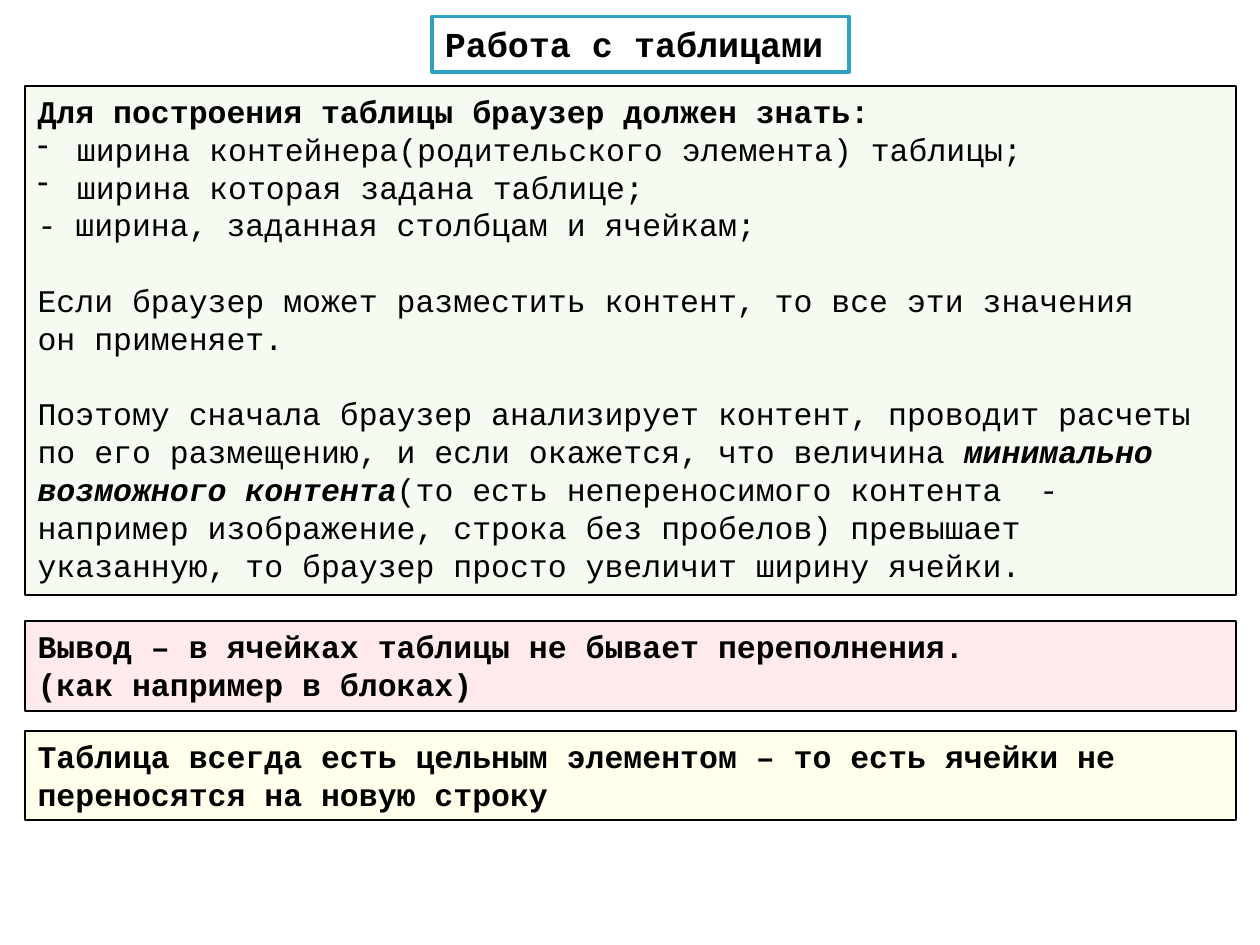
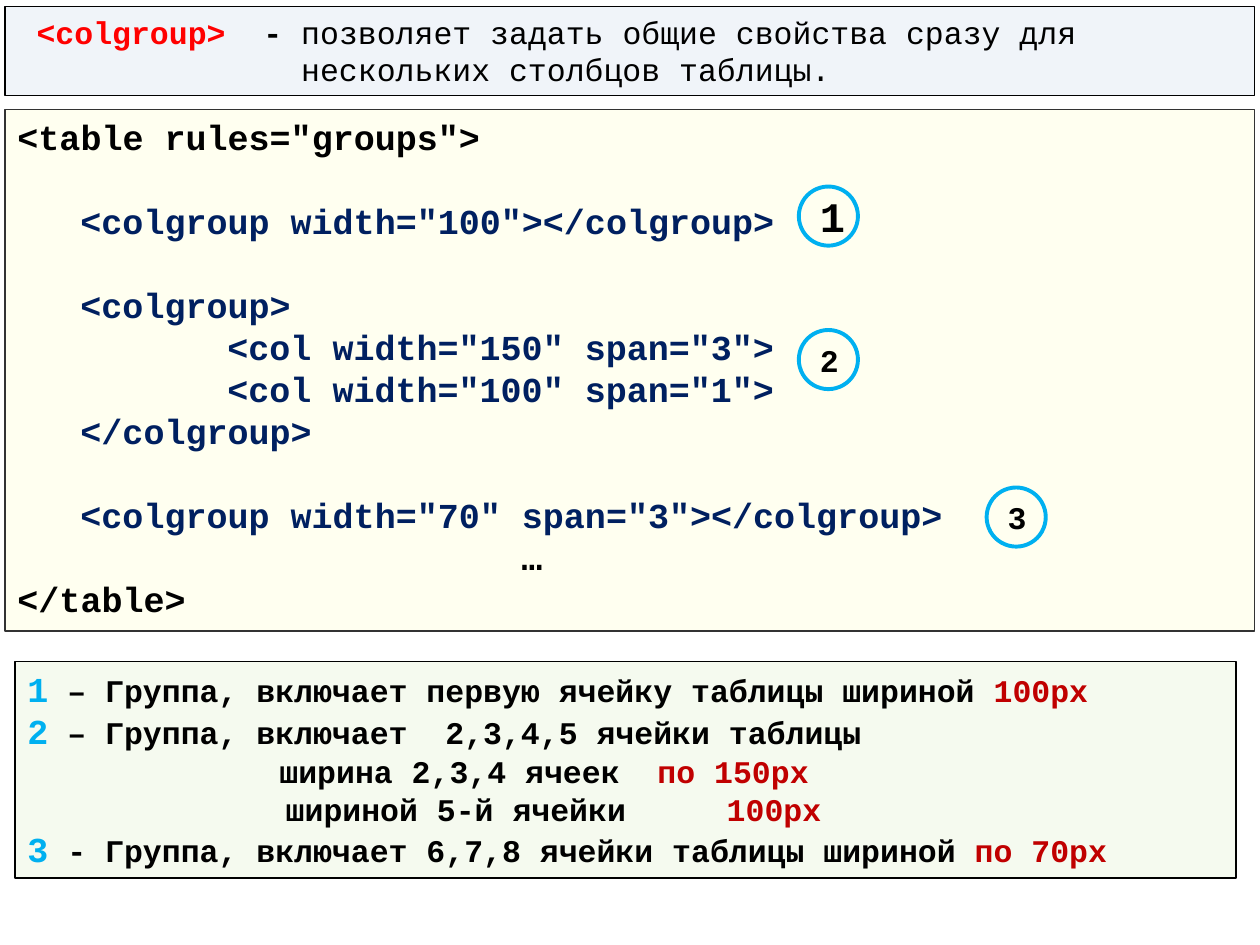
from dataclasses import dataclass, field

from lxml.etree import SubElement
from pptx import Presentation
from pptx.dml.color import RGBColor
from pptx.enum.shapes import MSO_SHAPE
from pptx.enum.text import MSO_ANCHOR, MSO_AUTO_SIZE, PP_ALIGN
from pptx.oxml.ns import qn
from pptx.util import Pt


# Theme: type sizes and colours; a style is (size, colour, bold, italic)
@dataclass
class Theme:
    font: str = "Courier New"
    ink: str = "000000"
    white: str = "FFFFFF"
    teal: str = "2DA2BF"
    sky: str = "00B0F0"
    gray: str = "333333"
    green: str = "92D050"
    red: str = "FF0000"
    yellow: str = "FFFF00"
    pale: str = "D4DFEF"
    text: dict = field(default_factory=lambda: {
        "head": (20, "000000", True, False),
        "body": (18, "000000", False, False),
        "bold": (18, "000000", True, False),
        "term": (18, "000000", True, True),
        "tag": (18, "FF0000", True, False),
        "code": (20, "002060", True, False),
        "key": (20, "00B0F0", True, False),
        "size": (18, "C00000", True, False),
        "big": (24, "000000", True, False),
    })


T = Theme()
CHAR = 10.8    # width of one body letter
GAP = 21.6     # one body line
BREAK = 24     # one code line
STEP = 36      # code indent


# Content: a paragraph is (runs, options), a run is (style, text)
def para(*runs, **opts):
    return runs, opts


TITLE = [para(("head", "Работа с таблицами"))]
NEEDS = [
    para(("bold", "Для построения таблицы браузер должен знать:")),
    para(("body", "ширина контейнера(родительского элемента) таблицы;"), dash=22.5),
    para(("body", "ширина которая задана таблице;"), dash=22.5),
    para(("body", "- ширина, заданная столбцам и ячейкам;")),
    para(("body", "Если браузер может разместить контент, то все эти значения"), before=GAP),
    para(("body", "он применяет.")),
    para(("body", "Поэтому сначала браузер анализирует контент, проводит расчеты"), before=GAP),
    para(("body", "по его размещению, и если окажется, что величина "),
         ("term", "минимально")),
    para(("term", "возможного контента"),
         ("body", "(то есть непереносимого контента  - например изображение, "
                  "строка без пробелов) превышает указанную, то браузер просто "
                  "увеличит ширину ячейки.")),
]
RESULT = [
    para(("bold", "Вывод – в ячейках таблицы не бывает переполнения.")),
    para(("bold", "(как например в блоках)")),
]
WHOLE = [para(("bold", "Таблица всегда есть цельным элементом – то есть ячейки "
                       "не переносятся на новую строку"))]

INTRO = [
    para(("tag", "<colgroup>  "), ("bold", "- "),
         ("body", "позволяет задать общие свойства сразу для"), left=CHAR),
    para(("body", "нескольких столбцов таблицы."), left=15 * CHAR),
]
CODE = [
    para(("head", '<table rules="groups">')),
    para(("code", '<colgroup width="100"></colgroup>'), left=STEP, before=BREAK),
    para(("code", "<colgroup>"), left=STEP, before=BREAK),
    para(("code", '<col width="150" span="3">'), left=120),
    para(("code", '<col width="100" span="1">'), left=120),
    para(("code", "</colgroup>"), left=STEP),
    para(("code", '<colgroup width="70" span="3"></colgroup>'), left=STEP, before=BREAK),
    para(("head", "…"), left=288),
    para(("head", "</table>")),
]
LEGEND = [
    para(("key", "1"), ("bold", " – Группа, включает первую ячейку таблицы шириной "),
         ("size", "100px")),
    para(("key", "2"), ("bold", " – Группа, включает  2,3,4,5 ячейки таблицы")),
    para(("bold", "ширина 2,3,4 ячеек  "), ("size", "по 150px"), left=144),
    para(("bold", "шириной 5-й ячейки\t\t"), ("size", "100px"), left=147.6),
    para(("key", "3"), ("bold", " - Группа, включает 6,7,8 ячейки таблицы шириной "),
         ("size", "по 70px")),
]

# Boxes: paragraphs, place, fill, opacity in percent, line, line width
HEADS = [
    (TITLE, (247, 9.4, 238.3, 31.7), T.white, 100, T.teal, 2.25),
    (INTRO, (2.9, 3.6, 714.2, 51.1), T.pale, 33, T.ink, 0.75),
]
BOXES = [
    [
        (NEEDS, (14.4, 49, 692, 290.9), T.green, 8, T.ink, 1),
        (RESULT, (14.4, 355, 692, 51.1), T.red, 8, T.ink, 1),
        (WHOLE, (14.4, 417.6, 692, 51.1), T.yellow, 8, T.ink, 1),
    ],
    [
        (CODE, (2.9, 62.6, 714.2, 298.1), T.yellow, 6, T.gray, 0.75),
        (LEGEND, (8.6, 378, 697.7, 123.8), T.green, 9, T.ink, 1),
    ],
]
# Number marks: text, style, left, top
MARKS = [("1", "big", 456.5, 106.6), ("2", "bold", 456.5, 188.6),
         ("3", "bold", 563.8, 278.6)]
DISC = 33.8


# Text
def indent(item, opts):
    props = item._p.get_or_add_pPr()
    dash = opts.get("dash", 0)
    props.set("marL", str(Pt(opts.get("left", dash))))
    props.set("indent", str(-Pt(dash)))
    if dash:
        SubElement(props, qn("a:buChar"), char="-")


def write(frame, paras, align=PP_ALIGN.LEFT):
    for num, (runs, opts) in enumerate(paras):
        item = frame.add_paragraph() if num else frame.paragraphs[0]
        item.alignment = align
        item.space_before = Pt(opts.get("before", 0))
        indent(item, opts)
        for style, text in runs:
            run = item.add_run()
            run.text = text
            font = run.font
            size, color, font.bold, font.italic = T.text[style]
            font.name, font.size = T.font, Pt(size)
            font.color.rgb = RGBColor.from_string(color)


# Shapes
def edge(shape, color, width):
    shape.line.color.rgb = RGBColor.from_string(color)
    shape.line.width = Pt(width)
    shape.shadow.inherit = False


def dress(shape, paras, fill, alpha, line, width):
    shape.fill.solid()
    shape.fill.fore_color.rgb = RGBColor.from_string(fill)
    if alpha < 100:
        color = shape._element.spPr.find(qn("a:solidFill"))[0]
        SubElement(color, qn("a:alpha"), val=str(alpha * 1000))
    edge(shape, line, width)
    frame = shape.text_frame
    frame.word_wrap = True
    frame.vertical_anchor = MSO_ANCHOR.TOP
    frame.auto_size = MSO_AUTO_SIZE.NONE
    write(frame, paras)


def add_head(slide, paras, place, *look):
    shape = slide.shapes.title
    shape.left, shape.top, shape.width, shape.height = map(Pt, place)
    dress(shape, paras, *look)


def add_box(slide, paras, place, *look):
    shape = slide.shapes.add_shape(MSO_SHAPE.RECTANGLE, *map(Pt, place))
    dress(shape, paras, *look)


def add_mark(slide, text, style, left, top):
    shape = slide.shapes.add_shape(
        MSO_SHAPE.FLOWCHART_CONNECTOR, Pt(left), Pt(top), Pt(DISC), Pt(DISC))
    shape.fill.background()
    edge(shape, T.sky, 2.25)
    shape.text_frame.vertical_anchor = MSO_ANCHOR.MIDDLE
    write(shape.text_frame, [para((style, text))], PP_ALIGN.CENTER)


# Slides
def main():
    deck = Presentation()
    deck.slide_width, deck.slide_height = Pt(720), Pt(540)
    for head, boxes in zip(HEADS, BOXES):
        slide = deck.slides.add_slide(deck.slide_layouts[5])
        add_head(slide, *head)
        for box in boxes:
            add_box(slide, *box)
    for mark in MARKS:
        add_mark(slide, *mark)
    deck.save("out.pptx")


if __name__ == "__main__":
    main()
